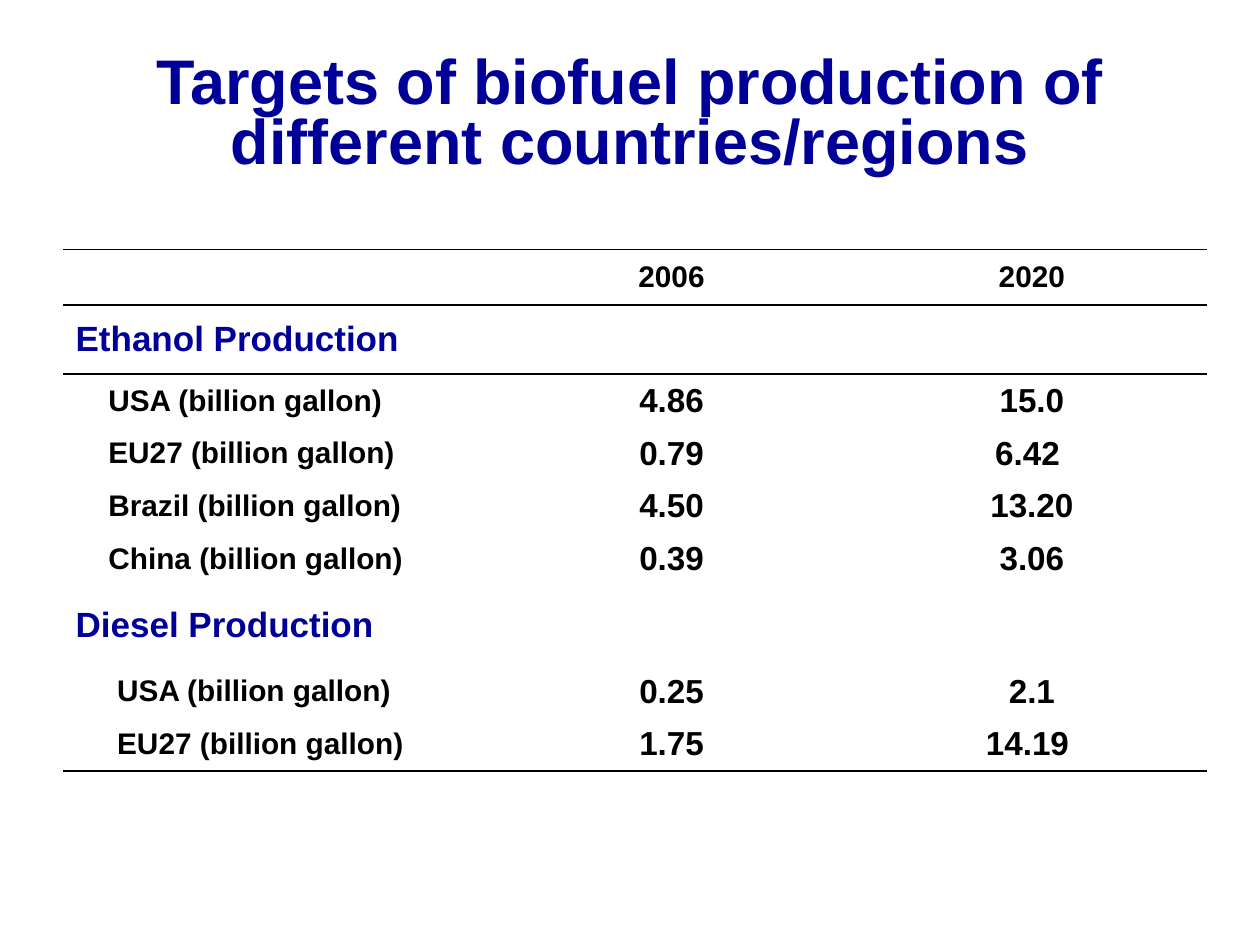
from lxml import etree
from pptx import Presentation
from pptx.dml.color import RGBColor as RGB
from pptx.enum.text import MSO_ANCHOR as Anchor, PP_ALIGN as Align
from pptx.oxml.ns import qn
from pptx.util import Inches, Pt

COLORS = {"navy": "000099", "black": "000000"}
NO_STYLE = "{2D5ABB26-0587-4C30-8999-92F81FD0307C}"
SPACE = 0.07  # inches a figure gives up on its right to sit left of centre

FORMATS = {
    "title": {"size": Pt(36), "color": "navy"},
    "head": {"size": Pt(17), "color": "black"},
    "group": {"size": Pt(20), "color": "navy"},
    "label": {"size": Pt(17), "color": "black"},
    "value": {"size": Pt(19), "color": "black"},
}

COLS = [3.36, 2.94, 2.78]
HEIGHTS = {"head": 0.44, "label": 0.42}

# kind, height, indent of the label, cells
ROWS = [
    ("head", 0.44, 0, ["", "2006", "2020"]),
    ("group", 0.55, 0, ["Ethanol Production", "", ""]),
    ("label", 0.42, 0.26, ["USA (billion gallon)", "4.86", "15.0"]),
    ("label", 0.42, 0.26, ["EU27 (billion gallon)", "0.79", "6.42"]),
    ("label", 0.42, 0.26, ["Brazil (billion gallon)", "4.50", "13.20"]),
    ("label", 0.42, 0.26, ["China (billion gallon)", "0.39", "3.06"]),
    ("group", 0.63, 0, ["Diesel Production", "", ""]),
    ("label", 0.42, 0.33, ["USA (billion gallon)", "0.25", "2.1"]),
    ("label", 0.42, 0.33, ["EU27 (billion gallon)", "1.75", "14.19"]),
]
SHIFTED = {"6.42", "14.19"}
RULES = {0: ["lnT", "lnB"], 1: ["lnT"], len(ROWS) - 1: ["lnB"]}


class Deck:
    def __init__(self):
        self.prs = Presentation()
        self.prs.slide_width, self.prs.slide_height = Inches(10), Inches(7.5)
        self.slide = self.prs.slides.add_slide(self.prs.slide_layouts[5])

    def style(self, para, kind, align):
        para.alignment = align
        form = {"name": "Arial", "bold": True, "size": FORMATS[kind]["size"]}
        for key, val in form.items():
            setattr(para.font, key, val)
        color = COLORS[FORMATS[kind]["color"]]
        para.font.color.rgb = RGB.from_string(color)

    def title(self, text, box):
        shape = self.slide.shapes.title
        for key, val in zip(("left", "top", "width", "height"), box):
            setattr(shape, key, Inches(val))
        frame = shape.text_frame
        frame.text = text
        frame.word_wrap = True
        frame.vertical_anchor = Anchor.MIDDLE
        para = frame.paragraphs[0]
        para.line_spacing = 0.8
        self.style(para, "title", Align.CENTER)

    def rule(self, cell, sides):
        """Draw black 1 pt borders on the given sides of a cell."""
        props = cell._tc.get_or_add_tcPr()
        for side in sides:
            line = etree.SubElement(props, qn(f"a:{side}"), w=str(Pt(1)))
            fill = etree.SubElement(line, qn("a:solidFill"))
            etree.SubElement(fill, qn("a:srgbClr"), val=COLORS["black"])

    def cell(self, cell, text, kind, align, indent, sides):
        self.rule(cell, sides)
        cell.fill.background()
        cell.vertical_anchor = Anchor.MIDDLE
        cell.margin_left = Inches(0.1 + indent)
        cell.margin_right = Inches(0.1 + SPACE * (text in SHIFTED))
        cell.text = text
        self.style(cell.text_frame.paragraphs[0], kind, align)

    def table(self, left, top):
        high = sum(row[1] for row in ROWS)
        frame = self.slide.shapes.add_table(
            len(ROWS), len(COLS), Inches(left), Inches(top),
            Inches(sum(COLS)), Inches(high))
        table = frame.table
        table.first_row = table.horz_banding = False
        table._tbl.tblPr.find(qn("a:tableStyleId")).text = NO_STYLE
        for col, width in zip(table.columns, COLS):
            col.width = Inches(width)
        for r, (kind, height, indent, texts) in enumerate(ROWS):
            table.rows[r].height = Inches(height)
            for c, text in enumerate(texts):
                form = "value" if c and kind == "label" else kind
                align = Align.CENTER if c else Align.LEFT
                self.cell(table.cell(r, c), text, form, align,
                          0 if c else indent, RULES.get(r, []))


def main():
    deck = Deck()
    deck.title("Targets of biofuel production of different countries/regions",
               (0.5, 0.3, 9, 1.25))
    deck.table(0.5, 1.98)
    deck.prs.save("out.pptx")


if __name__ == "__main__":
    main()
